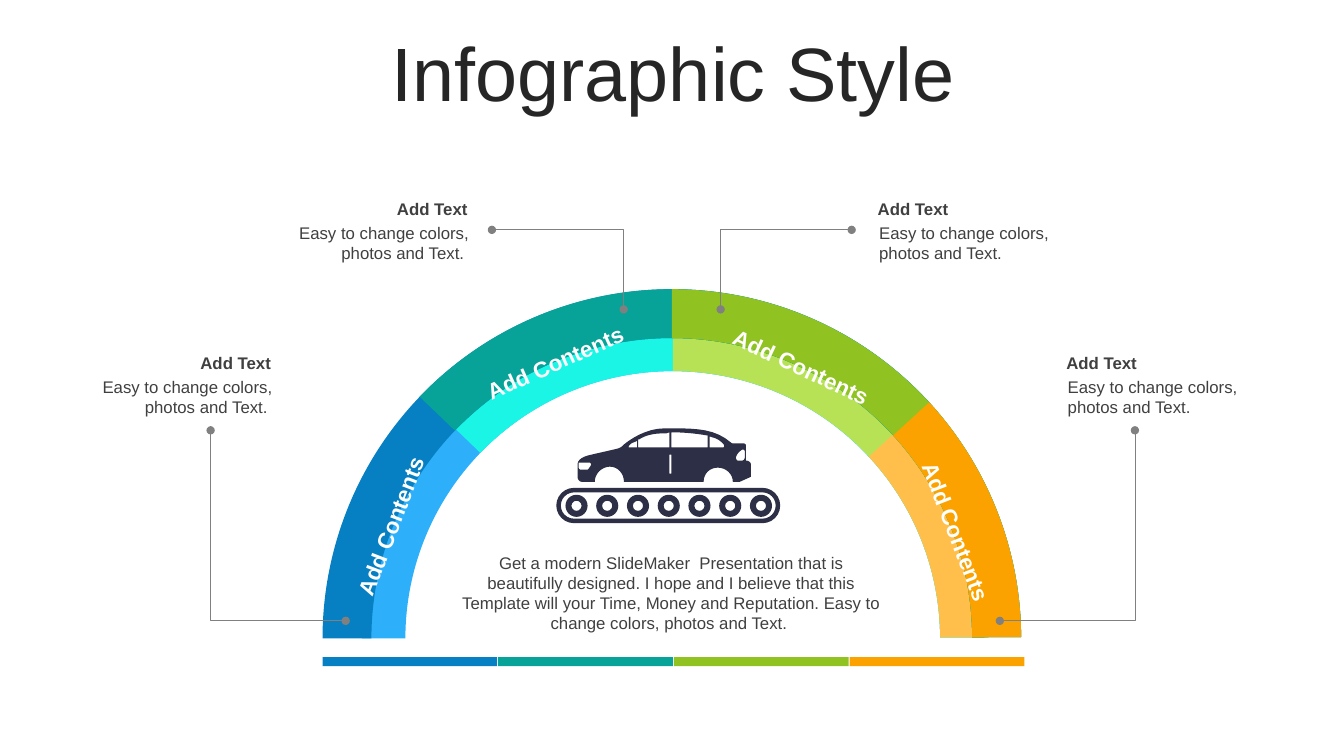
from lxml.etree import SubElement
from pptx import Presentation
from pptx.dml.color import RGBColor
from pptx.enum.shapes import MSO_CONNECTOR as LINK, MSO_SHAPE as KIND
from pptx.enum.text import MSO_ANCHOR as ANCHOR, PP_ALIGN as ALIGN
from pptx.oxml.ns import qn
from pptx.util import Pt

TITLE = "Infographic Style"
HEAD, NOTE, LABEL = "Add Text", "Easy to change colors, photos and Text.", "Add Contents"
INTRO = ("Get a modern SlideMaker  Presentation that is beautifully designed. "
         "I hope and I believe that this Template will your Time, Money and "
         "Reputation. Easy to change colors, photos and Text. ")
DARK, GREY, NAVY = "404040", "808080", "2C2F45"
COLORS = ["0680C3", "07A398", "90C221", "FBA200"]

# Arch rings: left, top, size, start angles, colours
RINGS = [
    (258.5, 234, 444.2, [180, 223.97, 270.03, 317.18],
     ["2DB0F9", "1BF5E6", "B7E256", "FFBF4A"]),
    (230.4, 206.6, 499, [180, 223.79, 270.03, 317.46], COLORS),
]
ARC_END = 359.78

# Arch labels: left, top, rotation
LABELS = [(204.5, 352.1, 291), (313.2, 244.1, 335.8),
          (475.2, 247, 25.1), (577.4, 355.7, 68.8)]

# Callouts: left, top, right-aligned, line from, line to
CALLS = [
    (60.5, 248.4, True, (247, 443.5), (150.5, 307.4)),
    (200.9, 138.2, True, (351.4, 164.2), (445.5, 221)),
    (619.9, 138.2, False, (608.4, 164.2), (514.8, 221)),
    (754.6, 248.4, False, (714.2, 443.5), (810.7, 307.4)),
]

# Car outlines in grid units: a start point, then lines (2 numbers) or curves (6)
CAR_X, CAR_Y, UNIT = 412.6, 306, 0.72
CAR = [
    # Body
    [(96, 0), (119, 0, 137, 1, 152, 14), (153, 15, 154, 15, 155, 15), (165, 15),
     (166, 15, 167, 16, 167, 17), (167, 32), (170, 32, 172, 34, 172, 36),
     (172, 48), (161, 53), (154, 53), (154, 45, 147, 39, 139, 39),
     (131, 39, 125, 45, 125, 53), (46, 53), (46, 45, 40, 38, 32, 38),
     (24, 38, 17, 45, 17, 53), (4, 53), (2, 53, 0, 51, 0, 48), (0, 36),
     (0, 36, -1, 30, 10, 27), (18, 25, 32, 22, 40, 20),
     (43, 19, 44, 18, 46, 16), (52, 11, 68, 0, 86, 0)],
    # Front lamp, door gap, rear lamp
    [(1, 34), (1, 35, 1, 37, 1, 39), (1, 40, 2, 41, 3, 41), (10, 41),
     (11, 40), (13, 37), (14, 36, 13, 34, 12, 34)],
    [(91, 26), (91, 45), (93, 45), (93, 26)],
    [(164, 21), (164, 21, 163, 21, 162, 22), (159, 24, 158, 26, 157, 29),
     (157, 30, 158, 32, 159, 32), (163, 32), (165, 32, 166, 30, 166, 28),
     (166, 23), (166, 22, 165, 21, 164, 21)],
    # Windows, front to rear
    [(59, 12), (58, 13), (55, 14, 53, 15, 52, 16), (51, 17, 50, 19, 51, 19),
     (59, 19)],
    [(91, 4), (88, 5), (85, 5), (75, 5, 67, 7, 61, 11), (60, 11), (60, 19),
     (91, 19)],
    [(96, 4), (93, 4), (93, 19), (129, 19), (129, 7), (128, 7),
     (117, 5, 105, 4, 96, 4)],
    [(131, 8), (131, 19), (144, 19), (146, 19, 146, 16, 143, 14),
     (141, 12, 138, 10, 134, 9)],
]

deck = Presentation()
deck.slide_width, deck.slide_height = Pt(960), Pt(540)
slide = deck.slides.add_slide(deck.slide_layouts[5])
shapes = slide.shapes


def rgb(code):
    return RGBColor.from_string(code)


def paint(shape, color):
    shape.shadow.inherit = False
    shape.fill.solid()
    shape.fill.fore_color.rgb = rgb(color)
    shape.line.fill.background()
    return shape


def block(kind, x, y, w, h, color):
    return paint(shapes.add_shape(kind, Pt(x), Pt(y), Pt(w), Pt(h)), color)


def write(text, x, y, w, h, size=12, color=DARK, bold=False,
          align=ALIGN.LEFT, anchor=ANCHOR.TOP, turn=0, box=None):
    box = box or shapes.add_textbox(0, 0, 0, 0)
    box.left, box.top, box.width, box.height = Pt(x), Pt(y), Pt(w), Pt(h)
    box.rotation = turn
    frame = box.text_frame
    frame.word_wrap, frame.vertical_anchor = True, anchor
    para = frame.paragraphs[0]
    para.alignment = align
    run = para.add_run()
    run.text = text
    font = run.font
    font.name, font.size, font.bold = "Arial", Pt(size), bold
    font.color.rgb = rgb(color)
    return para


def elbow(start, end):
    """Run across from start, then straight up or down to end."""
    link = shapes.add_connector(LINK.ELBOW, *map(Pt, start + end))
    link.line.color.rgb, link.line.width = rgb(GREY), Pt(0.5)
    props = link._element.spPr
    bend = props.find(qn("a:prstGeom")).find(qn("a:avLst"))
    SubElement(bend, qn("a:gd"), name="adj1", fmla="val 100000")
    line = props.find(qn("a:ln"))
    for tip in ("a:headEnd", "a:tailEnd"):
        SubElement(line, qn(tip), type="oval")
    SubElement(props, qn("a:effectLst"))


def trace(steps, count=8):
    """Turn lines and Bezier curves into slide points."""
    dots = [steps[0]]
    for step in steps[1:]:
        if len(step) == 2:
            dots.append(step)
            continue
        knots = [dots[-1], step[:2], step[2:4], step[4:]]
        for i in range(1, count + 1):
            t = i / count
            parts = ((1 - t) ** 3, 3 * t * (1 - t) ** 2, 3 * t * t * (1 - t), t ** 3)
            dots.append(tuple(sum(p * k[axis] for p, k in zip(parts, knots))
                              for axis in (0, 1)))
    return [(Pt(CAR_X + x * UNIT), Pt(CAR_Y + y * UNIT)) for x, y in dots]


# Title
title = write(TITLE, 25.2, 26.6, 911.5, 56.9, size=54, color="262626",
              align=ALIGN.CENTER, anchor=ANCHOR.MIDDLE, box=shapes.title)
title.line_spacing = 0.9

# Arch
for x, y, size, angles, tints in RINGS:
    for angle, tint in zip(angles, tints):
        arc = block(KIND.BLOCK_ARC, x, y, size, size, tint)
        for i, value in enumerate((angle * 0.6, ARC_END * 0.6, 0.07)):
            arc.adjustments[i] = value

# Callouts with their lines
for x, y, right, start, end in CALLS:
    side = ALIGN.RIGHT if right else ALIGN.LEFT
    write(HEAD, x, y, 140.2, 21.6, bold=True, align=side)
    write(NOTE + " " * right, x + 1, y + 17.3, 140.2, 36, align=side)
    elbow(start, end)

# Intro and colour bars
write(INTRO, 322.6, 391, 313.9, 65.5, align=ALIGN.CENTER)
for i, color in enumerate(COLORS):
    block(KIND.RECTANGLE, 230.4 + i * 125.5, 469.4, 124.8, 6.5, color)

# Arch labels
for x, y, turn in LABELS:
    write(LABEL, x, y, 180, 59.8, size=16, color="FFFFFF", bold=True,
          align=ALIGN.CENTER, turn=turn)

# Car
paths = [trace(steps) for steps in CAR]
pen = shapes.build_freeform(*paths[0][0], scale=1.0)
pen.add_line_segments(paths[0][1:])
for dots in paths[1:]:
    pen.move_to(*dots[0])
    pen.add_line_segments(dots[1:])
paint(pen.convert_to_shape(), NAVY)

# Track and wheels
belt = block(KIND.ROUNDED_RECTANGLE, 399, 350.1, 156.7, 22, NAVY)
belt.adjustments[0] = 0.5
belt.fill.background()
belt.line.color.rgb, belt.line.width = rgb(NAVY), Pt(3.2)
for i in range(7):
    wheel = block(KIND.DONUT, 403.9 + i * 21.96, 353.4, 15.8, 15.8, NAVY)
    wheel.adjustments[0] = 0.27

deck.save("out.pptx")
